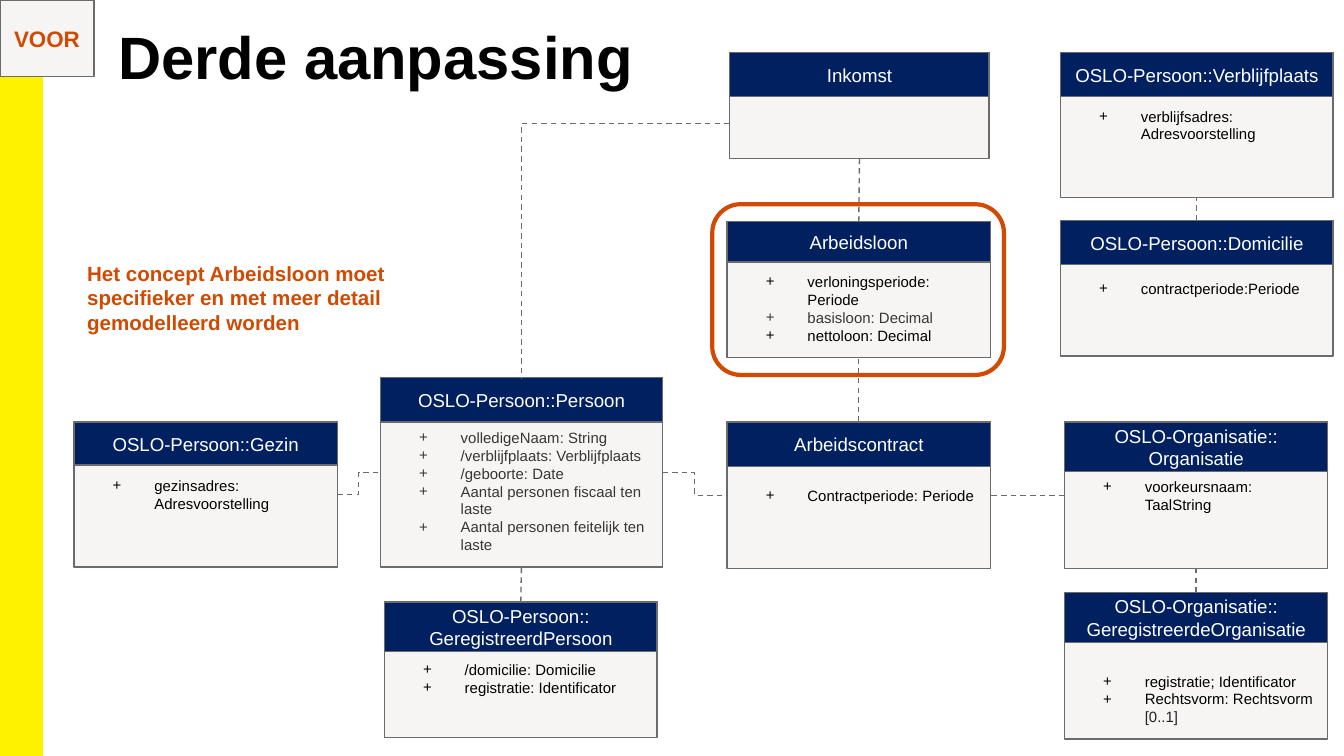
from lxml import etree
from pptx import Presentation
from pptx import util as u
from pptx.dml.color import RGBColor
from pptx.enum import dml, shapes, text
from pptx.oxml.ns import qn

WIDE = 10
HIGH = WIDE * 9 / 16

NAVY = RGBColor(0x00, 0x20, 0x60)
PALE = RGBColor(0xF6, 0xF5, 0xF3)
GREY = RGBColor(0x6B, 0x6B, 0x6B)
RUST = RGBColor(0xD0, 0x4A, 0x02)
LEMON = RGBColor(0xFF, 0xF2, 0x00)
WHITE = RGBColor(0xFF, 0xFF, 0xFF)
BLACK = RGBColor(0x00, 0x00, 0x00)
SOFT = RGBColor(0x37, 0x36, 0x36)
DARK = RGBColor(0x20, 0x21, 0x24)

TOP, LEFT, BOTTOM, RIGHT = range(4)  # connection sites of a rectangle
MID, LOW = text.MSO_ANCHOR.MIDDLE, text.MSO_ANCHOR.BOTTOM
RECT = shapes.MSO_SHAPE.RECTANGLE
STRAIGHT = shapes.MSO_CONNECTOR.STRAIGHT
ELBOW = shapes.MSO_CONNECTOR.ELBOW

# name: left, top, width, height, head height, heading, anchor, top inset, rows
# A row is a list of runs, each with its own colour.
CLASSES = {
    "gezin": (0.55, 3.14, 1.96, 1.08, 0.32, "OSLO-Persoon::Gezin", MID, 0.1,
              [[("gezinsadres: Adresvoorstelling", BLACK)]]),
    "persoon": (2.83, 2.81, 2.1, 1.41, 0.33, "OSLO-Persoon::Persoon", LOW, 0.1,
                [[("volledigeNaam: String", SOFT)],
                 [("/verblijfplaats: Verblijfplaats", SOFT)],
                 [("/geboorte: Date", SOFT)],
                 [("Aantal personen fiscaal ten laste", SOFT)],
                 [("Aantal personen feitelijk ten laste", SOFT)]]),
    "contract": (5.41, 3.14, 1.96, 1.09, 0.33, "Arbeidscontract", MID, 0.1,
                 [[("Contractperiode: Periode", BLACK)]]),
    "loon": (5.41, 1.65, 1.96, 1.01, 0.3, "Arbeidsloon", LOW, 0.1,
             [[("verloningsperiode: Periode", BLACK)],
              [("basisloon: Decimal", SOFT)],
              [("nettoloon: Decimal", BLACK)]]),
    "bedrijf": (7.92, 3.14, 1.96, 1.09, 0.37,
                "OSLO-Organisatie::\nOrganisatie", MID, 0.1,
                [[("voorkeursnaam: TaalString", BLACK)]]),
    "inkomst": (5.43, 0.39, 1.93, 0.79, 0.33, "Inkomst", MID, 0.1, []),
    "burger": (2.86, 4.48, 2.03, 1.01, 0.37,
               "OSLO-Persoon::\nGeregistreerdPersoon", MID, 0.23,
               [[("/domicilie: Domicilie", BLACK)],
                [("registratie: Identificator", BLACK)]]),
    "register": (7.92, 4.41, 1.96, 1.09, 0.37,
                 "OSLO-Organisatie::\nGeregistreerdeOrganisatie", LOW, 0.1,
                 [[("registratie; Identificator", BLACK)],
                  [("Rechtsvorm: Rechtsvorm ", BLACK), ("[0..1]", DARK)]]),
    "domicilie": (7.89, 1.64, 2.03, 1.01, 0.33, "OSLO-Persoon::Domicilie",
                  MID, 0.1, [[("contractperiode:Periode", BLACK)]]),
    "verblijf": (7.89, 0.39, 2.03, 1.08, 0.33, "OSLO-Persoon::Verblijfplaats",
                 MID, 0.1, [[("verblijfsadres: Adresvoorstelling", BLACK)]]),
}

LINKS = [
    ("gezin", RIGHT, "persoon", LEFT, ELBOW),
    ("persoon", RIGHT, "contract", LEFT, ELBOW),
    ("contract", TOP, "loon", BOTTOM, STRAIGHT),
    ("bedrijf", LEFT, "contract", RIGHT, STRAIGHT),
    ("inkomst", BOTTOM, "loon", TOP, STRAIGHT),
    ("burger", TOP, "persoon", BOTTOM, STRAIGHT),
    ("register", TOP, "bedrijf", BOTTOM, STRAIGHT),
    ("domicilie", TOP, "verblijf", BOTTOM, STRAIGHT),
]


def inches(*nums):
    return [u.Inches(n) for n in nums]


def style(run, size, ink, bold=False):
    font = run.font
    font.name, font.size, font.bold = "Arial", u.Pt(size), bold
    font.color.rgb = ink


def setup(frame, anchor, side=0.1, top=0.1, low=0.1):
    frame.word_wrap = True
    frame.vertical_anchor = anchor
    frame.margin_left = frame.margin_right = u.Inches(side)
    frame.margin_top, frame.margin_bottom = inches(top, low)


def write(frame, words, size, ink, bold=False, align=text.PP_ALIGN.CENTER):
    frame.text = words
    for para in frame.paragraphs:
        para.alignment = align
        for run in para.runs:
            style(run, size, ink, bold)


def add_box(slide, box, fill, edge=GREY, width=0.75, kind=RECT):
    shape = slide.shapes.add_shape(kind, *inches(*box))
    shape.shadow.inherit = False
    if fill is None:
        shape.fill.background()
    else:
        shape.fill.solid()
        shape.fill.fore_color.rgb = fill
    shape.line.color.rgb = edge
    shape.line.width = u.Pt(width)
    setup(shape.text_frame, MID)
    return shape


def add_bullet(para, ink):
    props = para._p.get_or_add_pPr()
    props.set("marL", str(u.Inches(0.5)))
    props.set("indent", str(u.Inches(-0.31)))
    tint = etree.SubElement(props, qn("a:buClr"))
    etree.SubElement(tint, qn("a:srgbClr"), val=str(ink))
    etree.SubElement(props, qn("a:buFont"), typeface="Arial")
    etree.SubElement(props, qn("a:buChar"), char="+")


def add_class(slide, left, top, width, height, head, name, anchor, inset, rows):
    """Draw a class box with its heading bar; return the body."""
    body = add_box(slide, (left, top, width, height), PALE)
    frame = body.text_frame
    setup(frame, anchor, top=inset)
    for i, row in enumerate(rows):
        para = frame.add_paragraph() if i else frame.paragraphs[0]
        para.alignment = text.PP_ALIGN.LEFT
        add_bullet(para, row[0][1])
        for words, ink in row:
            run = para.add_run()
            run.text = words
            style(run, 8, ink)
    bar = add_box(slide, (left, top, width, head), NAVY)
    write(bar.text_frame, name, 10, WHITE)
    return body


def dash(line):
    line.line.color.rgb = GREY
    line.line.width = u.Pt(0.75)
    line.line.dash_style = dml.MSO_LINE.DASH
    etree.SubElement(line._element.spPr, qn("a:effectLst"))


def add_link(slide, start, site, end, goal, kind):
    line = slide.shapes.add_connector(kind, 0, 0, 0, 0)
    line.begin_connect(start, site)
    line.end_connect(end, goal)
    dash(line)


def add_corner(slide, start, end):
    """Dashed line with one bend: first sideways, then down."""
    line = slide.shapes.add_connector(ELBOW, *inches(*start, *end))
    line._element.spPr.find(qn("a:prstGeom")).set("prst", "bentConnector2")
    dash(line)


def add_title(slide, words):
    title = slide.shapes.title
    title.left, title.top, title.width, title.height = inches(0.81, 0.11, 5.03, 0.81)
    title.line.color.rgb = WHITE
    title.line.width = u.Pt(0.75)
    frame = title.text_frame
    setup(frame, text.MSO_ANCHOR.TOP, 0.07, 0.04, 0.04)
    frame.auto_size = text.MSO_AUTO_SIZE.NONE
    write(frame, words, 32, BLACK, True, text.PP_ALIGN.LEFT)


def add_note(slide, box, words):
    frame = slide.shapes.add_textbox(*inches(*box)).text_frame
    setup(frame, text.MSO_ANCHOR.TOP)
    write(frame, words, 11, RUST, True, text.PP_ALIGN.LEFT)


def main():
    deck = Presentation()
    deck.slide_width, deck.slide_height = inches(WIDE, HIGH)
    slide = deck.slides.add_slide(deck.slide_layouts[5])
    add_title(slide, "Derde aanpassing")
    add_box(slide, (0, 0, 0.31, HIGH), LEMON, LEMON, 1)
    bodies = {key: add_class(slide, *row) for key, row in CLASSES.items()}
    for start, site, end, goal, kind in LINKS:
        add_link(slide, bodies[start], site, bodies[end], goal, kind)
    add_corner(slide, (5.43, 0.92), (3.88, 2.81))
    add_note(slide, (0.55, 1.84, 3.16, 0.76),
             "Het concept Arbeidsloon moet specifieker en met meer detail "
             "gemodelleerd worden")
    tag = add_box(slide, (0, 0, 0.7, 0.57), PALE)
    write(tag.text_frame, "VOOR", 12, RUST, True)
    add_box(slide, (5.3, 1.52, 2.17, 1.27), None, RUST, 2.25,
            shapes.MSO_SHAPE.ROUNDED_RECTANGLE)
    deck.save("out.pptx")


if __name__ == "__main__":
    main()
